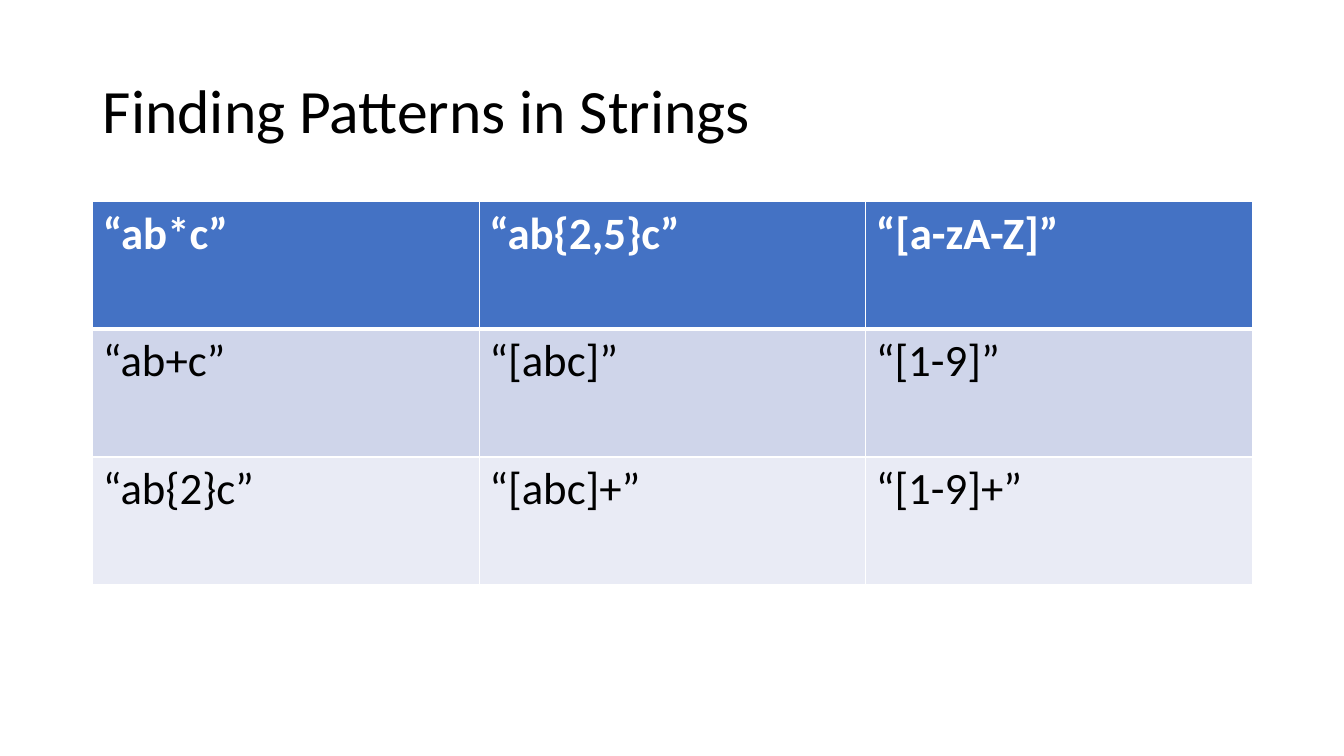
from lxml import etree
from pptx import Presentation, util as u
from pptx.dml.color import RGBColor
from pptx.enum import text
from pptx.oxml.ns import qn

FONT = "Calibri"
BLACK = RGBColor(0x00, 0x00, 0x00)
WHITE = RGBColor(0xFF, 0xFF, 0xFF)
HEADER_BLUE = RGBColor(0x44, 0x72, 0xC4)
BAND_DARK = RGBColor(0xCF, 0xD5, 0xEA)
BAND_LIGHT = RGBColor(0xE9, 0xEB, 0xF5)
ROW_FILLS = [HEADER_BLUE, BAND_DARK, BAND_LIGHT]
PATTERNS = [
    ["“ab*c”", "“ab{2,5}c”", "“[a-zA-Z]”"],
    ["“ab+c”", "“[abc]”", "“[1-9]”"],
    ["“ab{2}c”", "“[abc]+”", "“[1-9]+”"],
]


def write_text(frame, words, size, color=BLACK, bold=False, spacing=1.0):
    """Write one left-aligned paragraph into a text frame."""
    para = frame.paragraphs[0]
    para.alignment = text.PP_ALIGN.LEFT
    para.line_spacing = spacing
    span = para.add_run()
    span.text = words
    span.font.name = FONT
    span.font.size = u.Pt(size)
    span.font.bold = bold
    span.font.color.rgb = color


def add_border(cell, side, width):
    """Draw a white border on one side (L, R, T or B) of a cell."""
    properties = cell._tc.get_or_add_tcPr()
    line = etree.SubElement(properties, qn(f"a:ln{side}"), w=str(u.Pt(width)))
    fill = etree.SubElement(line, qn("a:solidFill"))
    etree.SubElement(fill, qn("a:srgbClr"), val=str(WHITE))


def place_title(page, left, top, width, height):
    """Place the title placeholder in the given box."""
    title = page.shapes.title
    title.left, title.top = u.Inches(left), u.Inches(top)
    title.width, title.height = u.Inches(width), u.Inches(height)
    frame = title.text_frame
    frame.vertical_anchor = text.MSO_ANCHOR.MIDDLE
    frame.auto_size = text.MSO_AUTO_SIZE.NONE
    write_text(frame, "Finding Patterns in Strings", 44, spacing=0.9)


def place_patterns(page, left, top, width, height):
    """Fill the given box with the table of patterns."""
    box = [u.Inches(length) for length in (left, top, width, height)]
    table = page.shapes.add_table(len(PATTERNS), len(PATTERNS[0]), *box).table
    for row, (patterns, fill) in enumerate(zip(PATTERNS, ROW_FILLS)):
        header = row == 0
        for column, pattern in enumerate(patterns):
            cell = table.cell(row, column)
            write_text(cell.text_frame, pattern, 32,
                       color=WHITE if header else BLACK, bold=header)
            add_border(cell, "L", 1)
            add_border(cell, "R", 1)
            add_border(cell, "T", 3 if row == 1 else 1)
            add_border(cell, "B", 3 if header else 1)
            cell.fill.solid()
            cell.fill.fore_color.rgb = fill


def main():
    """Build and save the deck."""
    deck = Presentation()
    deck.slide_width, deck.slide_height = u.Inches(13.33), u.Inches(7.5)
    page = deck.slides.add_slide(deck.slide_layouts[5])
    place_title(page, 0.92, 0.4, 11.5, 1.45)
    place_patterns(page, 0.92, 2, 11.5, 3.8)
    deck.save("out.pptx")


if __name__ == "__main__":
    main()
